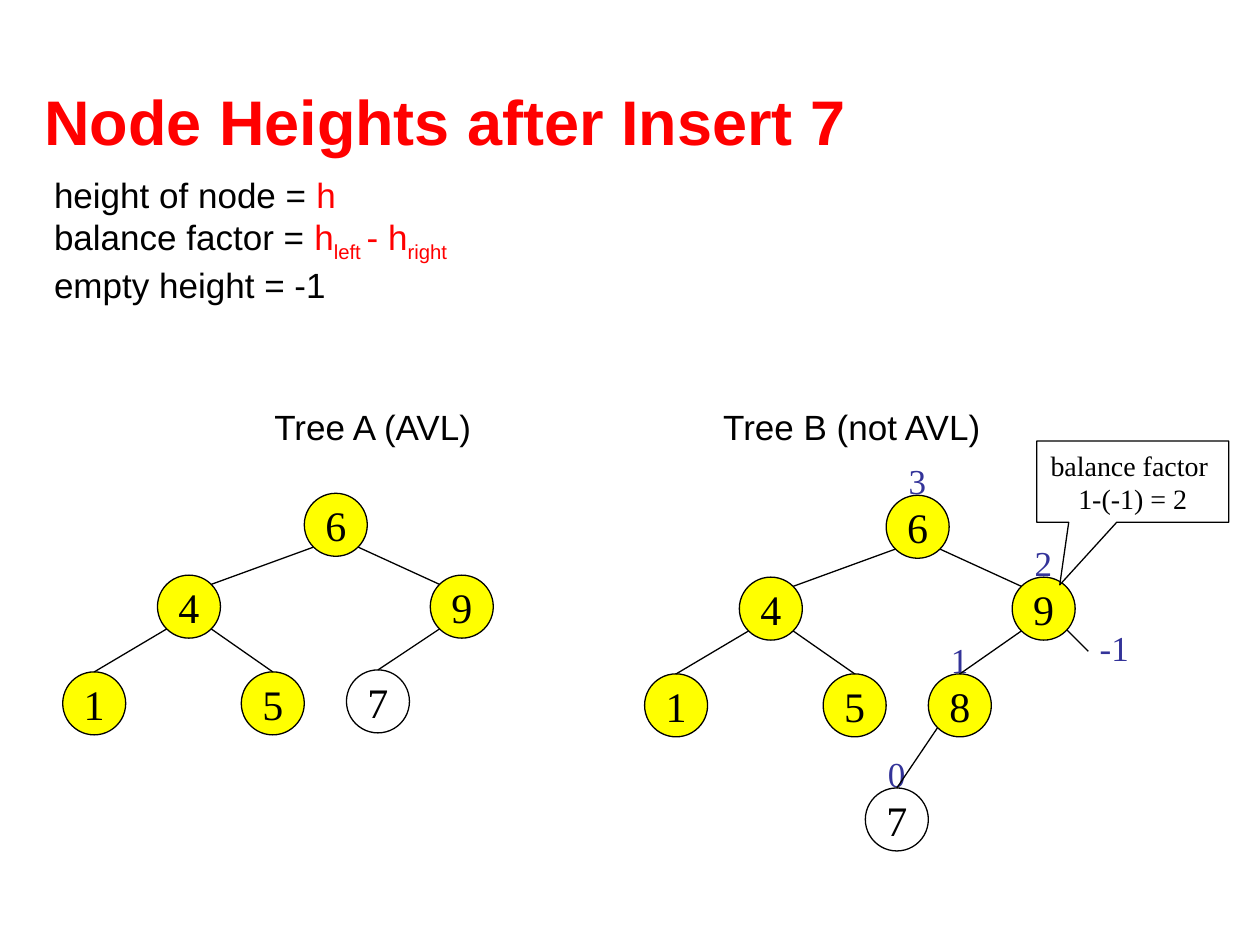
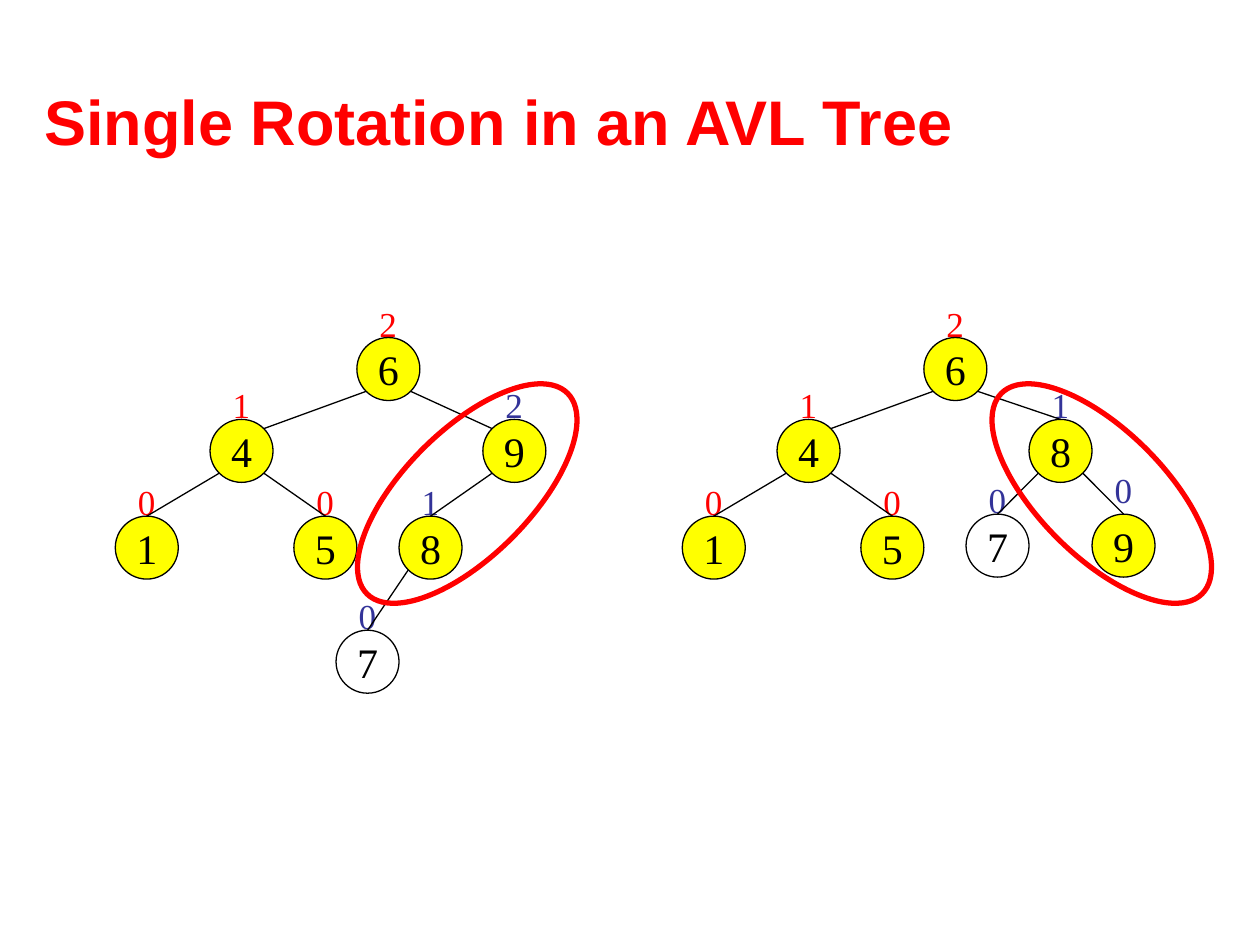
"""Build two slides on node heights and single rotation in AVL trees."""
from collections import namedtuple
from math import copysign, sqrt

from lxml.etree import SubElement
from pptx import Presentation
from pptx.dml.color import RGBColor
from pptx.enum.shapes import MSO_CONNECTOR, MSO_SHAPE
from pptx.enum.text import MSO_ANCHOR, MSO_AUTO_SIZE, PP_ALIGN
from pptx.oxml.ns import qn
from pptx.util import Cm, Pt

RED = RGBColor(0xFF, 0x00, 0x00)
BLUE = RGBColor(0x33, 0x33, 0x99)
BLACK = RGBColor(0x00, 0x00, 0x00)
WHITE = RGBColor(0xFF, 0xFF, 0xFF)
YELLOW = RGBColor(0xFF, 0xFF, 0x00)
SANS, SERIF = "Arial", "Times New Roman"

RADIUS = 0.635
DIAGONAL = RADIUS / sqrt(2)
INSERTED = "7"

Run = namedtuple("Run", "text colour baseline", defaults=(BLACK, 0))
Node = namedtuple("Node", "x y parent corner_join rise", defaults=(None, False, 0.84))

DEFINITIONS = [
    [Run("height of node = "), Run("h", RED)],
    [Run("balance factor = "), Run("h", RED), Run("left ", RED, -25000),
     Run("- h", RED), Run("right", RED, -25000)],
    [Run("empty height = -1")],
]

LEFT_HALF = {
    "6": Node(0, 0),
    "4": Node(-2.96, 1.65, "6", True),
    "1": Node(-4.87, 3.6, "4"),
    "5": Node(-1.27, 3.6, "4"),
}
AFTER_FIRST_INSERT = LEFT_HALF | {
    "9": Node(2.54, 1.65, "6", True),
    "7": Node(0.85, 3.56, "9"),
}
UNBALANCED = LEFT_HALF | {
    "9": Node(2.54, 1.65, "6", True),
    "8": Node(0.85, 3.6, "9"),
    "7": Node(-0.42, 5.9, "8"),
}
ROTATED = LEFT_HALF | {
    "8": Node(2.12, 1.65, "6"),
    "7": Node(0.85, 3.56, "8"),
    "9": Node(3.39, 3.56, "8", rise=1.04),
}
SETTLED_HEIGHTS = {"6": ("2", RED), "4": ("1", RED), "1": ("0", RED), "5": ("0", RED)}
UNBALANCED_HEIGHTS = {"9": ("2", BLUE), "8": ("1", BLUE), "7": ("0", BLUE)}
ROTATED_HEIGHTS = {"8": ("1", BLUE), "7": ("0", BLUE), "9": ("0", BLUE)}

SLIDES = [
    {
        "title": "Node Heights after Insert 7",
        "trees": [
            ((6.77, 10.58), AFTER_FIRST_INSERT, {}),
            ((18.5, 10.62), UNBALANCED, {"6": ("3", BLUE)} | UNBALANCED_HEIGHTS),
        ],
        "captions": [("Tree A (AVL)", 5.28, 4.65), ("Tree B (not AVL)", 14.33, 6.35)],
        "definitions": DEFINITIONS,
        "callout": ["balance factor ", "1-(-1) = 2"],
        "empty_height": "-1",
    },
    {
        "title": "Single Rotation in an AVL Tree",
        "trees": [
            ((7.83, 7.44), UNBALANCED, SETTLED_HEIGHTS | UNBALANCED_HEIGHTS),
            ((19.26, 7.44), ROTATED, SETTLED_HEIGHTS | ROTATED_HEIGHTS),
        ],
        "rings": [(6.56, 315), (19.35, 45)],
    },
]


def write_text(shape, paragraphs, font=SERIF, size=20, colour=BLACK, bold=False,
               alignment=PP_ALIGN.LEFT, anchor=MSO_ANCHOR.TOP, wrap=False):
    frame = shape.text_frame
    frame.auto_size = MSO_AUTO_SIZE.NONE
    frame.word_wrap = wrap
    frame.vertical_anchor = anchor
    for index, content in enumerate(paragraphs):
        paragraph = frame.add_paragraph() if index else frame.paragraphs[0]
        paragraph.alignment = alignment
        for part in [Run(content, colour)] if isinstance(content, str) else content:
            run = paragraph.add_run()
            run.text = part.text
            run.font.name = font
            run.font.size = Pt(size)
            run.font.bold = bold
            run.font.color.rgb = part.colour
            if part.baseline:
                run._r.get_or_add_rPr().set("baseline", str(part.baseline))


def add_text(slide, box, paragraphs, **text_format):
    textbox = slide.shapes.add_textbox(*map(Cm, box))
    write_text(textbox, paragraphs, **text_format)


def add_outlined(slide, preset, box, fill=None, line=BLACK, width=0.75):
    shape = slide.shapes.add_shape(preset, *map(Cm, box))
    shape.shadow.inherit = False
    if fill is None:
        shape.fill.background()
    else:
        shape.fill.solid()
        shape.fill.fore_color.rgb = fill
    shape.line.color.rgb = line
    shape.line.width = Pt(width)
    return shape


def add_line(slide, start, end):
    connector = slide.shapes.add_connector(MSO_CONNECTOR.STRAIGHT, *map(Cm, start + end))
    connector.line.color.rgb = BLACK
    connector.line.width = Pt(0.75)
    SubElement(connector._element.spPr, qn("a:effectLst"))
    return connector


def add_tree(slide, root, nodes, heights):
    centres = {key: (root[0] + node.x, root[1] + node.y) for key, node in nodes.items()}
    for key, (height, colour) in heights.items():
        x, y = centres[key]
        box = (x - 0.43, y - RADIUS - nodes[key].rise, 0.86, 1.09)
        add_text(slide, box, [height], colour=colour)

    circles = {}
    for key, (x, y) in centres.items():
        box = (x - RADIUS, y - RADIUS, 2 * RADIUS, 2 * RADIUS)
        fill = None if key == INSERTED else YELLOW
        circles[key] = add_outlined(slide, MSO_SHAPE.OVAL, box, fill)
        write_text(circles[key], [key], size=24, alignment=PP_ALIGN.CENTER,
                   anchor=MSO_ANCHOR.MIDDLE)

    for key, node in nodes.items():
        if node.parent is None:
            continue
        x, y = centres[key]
        parent_x, parent_y = centres[node.parent]
        step = copysign(DIAGONAL, x - parent_x)
        start = (parent_x + step, parent_y + DIAGONAL)
        if node.corner_join:
            add_line(slide, start, (x - step, y - DIAGONAL))
        else:
            add_line(slide, start, (x, y - RADIUS)).end_connect(circles[key], 0)


def add_balance_callout(slide, lines):
    callout = add_outlined(slide, MSO_SHAPE.RECTANGULAR_CALLOUT,
                           (20.9, 8.89, 3.87, 1.64), WHITE)
    callout.adjustments[0] = -0.38
    callout.adjustments[1] = 1.27
    write_text(callout, lines, size=16, alignment=PP_ALIGN.CENTER, anchor=MSO_ANCHOR.MIDDLE)


def add_slide(presentation, content):
    slide = presentation.slides.add_slide(presentation.slide_layouts[5])
    title = slide.shapes.title
    title.left, title.top, title.width, title.height = map(Cm, (0.64, 1.48, 22.86, 1.9))
    write_text(title, [content["title"]], font=SANS, size=36, colour=RED, bold=True,
               alignment=PP_ALIGN.JUSTIFY, anchor=MSO_ANCHOR.MIDDLE, wrap=True)
    if "definitions" in content:
        add_text(slide, (0.84, 3.38, 8.71, 2.82), content["definitions"], font=SANS)
    for root, nodes, heights in content["trees"]:
        add_tree(slide, root, nodes, heights)
    for caption, left, width in content.get("captions", []):
        add_text(slide, (left, 8.05, width, 1.09), [caption], font=SANS, wrap=True)
    if "callout" in content:
        add_balance_callout(slide, content["callout"])
    if "empty_height" in content:
        add_line(slide, (21.51, 12.7), (21.94, 13.13))
        add_text(slide, (21.92, 12.5, 1.09, 1.09), [content["empty_height"]], colour=BLUE)
    for left, angle in content.get("rings", []):
        ring = add_outlined(slide, MSO_SHAPE.OVAL, (left, 8.68, 5.72, 2.54), line=RED, width=3)
        ring.rotation = angle


def main():
    presentation = Presentation()
    presentation.slide_width, presentation.slide_height = Cm(25.4), Cm(19.05)
    for content in SLIDES:
        add_slide(presentation, content)
    presentation.save("out.pptx")


if __name__ == "__main__":
    main()
